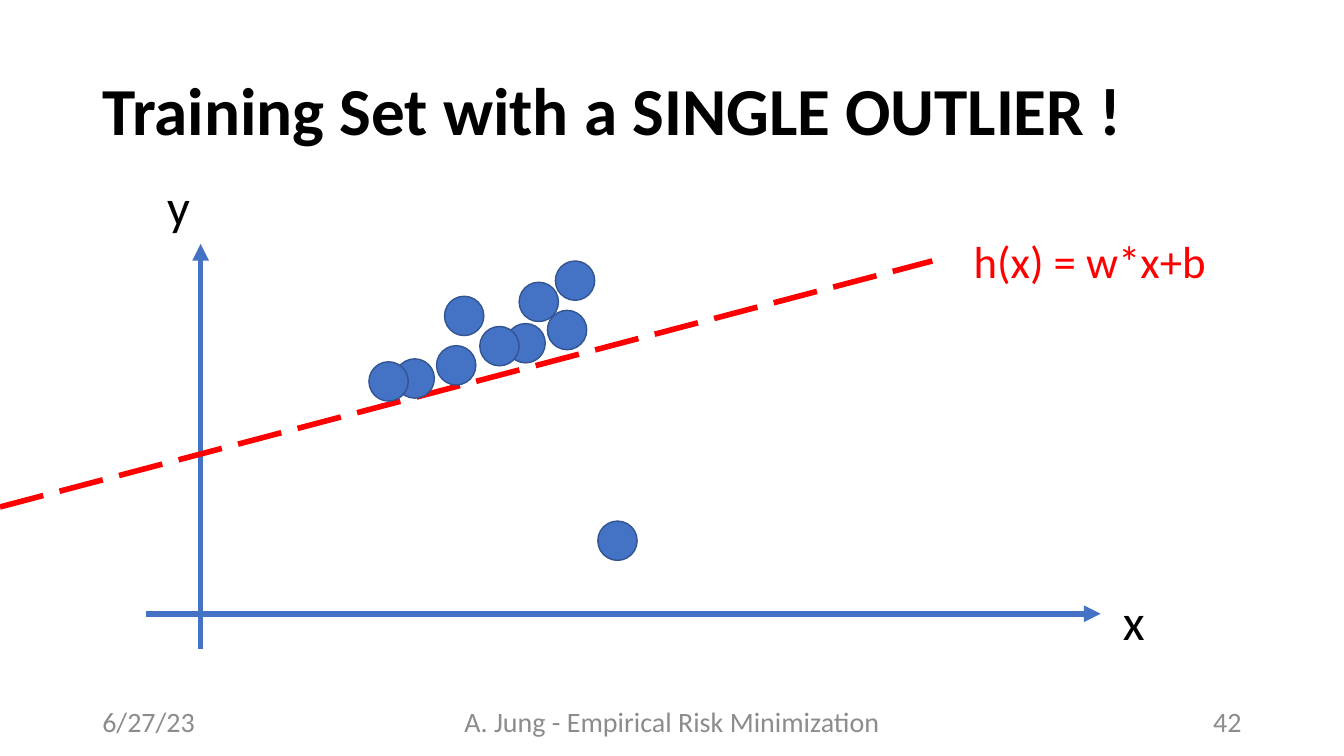
from pptx import Presentation
from pptx.dml.color import RGBColor
from pptx.enum.dml import MSO_LINE
from pptx.enum.shapes import MSO_CONNECTOR, MSO_SHAPE
from pptx.enum.text import MSO_ANCHOR, MSO_AUTO_SIZE, PP_ALIGN
from pptx.oxml.ns import qn
from pptx.util import Pt
from lxml import etree

STRAIGHT, ELLIPSE, LONG_DASH = MSO_CONNECTOR.STRAIGHT, MSO_SHAPE.OVAL, MSO_LINE.LONG_DASH
TOP, MIDDLE = MSO_ANCHOR.TOP, MSO_ANCHOR.MIDDLE
LEFT, CENTER, RIGHT = PP_ALIGN.LEFT, PP_ALIGN.CENTER, PP_ALIGN.RIGHT
FIT_SHAPE = MSO_AUTO_SIZE.SHAPE_TO_FIT_TEXT
BLUE, EDGE, RED, BLACK, GRAY = "4472C4", "325491", "FF0000", "000000", "8C8C8C"
DIAMETER = 28.1
CLUSTER = [(257, 56.9), (238.3, 59), (266.4, 27.4), (286.6, 47.5), (292.3, 12.2),
           (177.8, 82.1), (159.1, 84.2), (207.4, 72.7), (213.1, 37.4)]
OUTLIER = (322.6, 198)


def rgb(hex_color):
    """Turn a hex string into a colour."""
    return RGBColor.from_string(hex_color)


def add_text(s, box, text, size, color=BLACK, bold=False, align=LEFT, anchor=TOP, wrap=True):
    """Add a one-line text box."""
    tb = s.shapes.add_textbox(*map(Pt, box))
    tf = tb.text_frame
    tf.word_wrap, tf.vertical_anchor = wrap, anchor
    if not wrap:
        tf.auto_size = FIT_SHAPE
    p = tf.paragraphs[0]
    p.alignment = align
    r = p.add_run()
    r.text = text
    for name, value in {"name": "Calibri", "size": Pt(size), "bold": bold}.items():
        setattr(r.font, name, value)
    r.font.color.rgb = rgb(color)
    return p


def add_line(s, start, end, color, dash=None, arrow=False):
    """Add a straight line, dashed or with an arrowhead if asked."""
    c = s.shapes.add_connector(STRAIGHT, *map(Pt, (*start, *end)))
    c.line.color.rgb = rgb(color)
    c.line.width = Pt(4)
    if dash:
        c.line.dash_style = dash
    if arrow:
        etree.SubElement(c.line._get_or_add_ln(), qn("a:tailEnd"), type="triangle")
    etree.SubElement(c._element.spPr, qn("a:effectLst"))


def add_point(s, x, y):
    """Add one data point by its top left corner."""
    sp = s.shapes.add_shape(ELLIPSE, *map(Pt, (x, y, DIAMETER, DIAMETER)))
    sp.shadow.inherit = False
    sp.fill.solid()
    sp.fill.fore_color.rgb = rgb(BLUE)
    sp.line.color.rgb = rgb(EDGE)
    sp.line.width = Pt(1)


def add_title(s, box):
    """Add the slide title."""
    p = add_text(s, box, "Training Set with a SINGLE OUTLIER !", 48, bold=True, anchor=MIDDLE)
    p.line_spacing = 0.9


def add_plot(s, box):
    """Draw the axes, the data points and the fitted line."""
    left, top, width, height = box
    origin_x, origin_y = left + 38.9, top + 264.2
    add_line(s, (left, origin_y), (left + width, origin_y), BLUE, arrow=True)
    add_line(s, (origin_x, top + height), (origin_x, top), BLUE, arrow=True)
    add_line(s, (left - 104.4, top + 187.9), (left + 561.6, top + 12.2), RED, dash=LONG_DASH)
    for x, y in [*CLUSTER, OUTLIER]:
        add_point(s, left + x, top + y)
    for text, x, y, w, h, size, color in [
        ("x", 690.5, 243.4, 30.2, 51.1, 36, BLACK),
        ("y", 7.9, -52.6, 31, 51.1, 36, BLACK),
        ("h(x) = w*x+b", 583.9, -10.8, 182.9, 46.1, 32, RED),
    ]:
        add_text(s, (left + x, top + y, w, h), text, size, color, wrap=False)


def add_footer(s, box):
    """Add date, footer text and slide number across the box."""
    left, top, width, height = box
    for text, w, share, align in [
        ("6/27/23", 216, 0, LEFT),
        ("A. Jung - Empirical Risk Minimization", 324, 0.5, CENTER),
        ("42", 216, 1, RIGHT),
    ]:
        part = (left + (width - w) * share, top, w, height)
        add_text(s, part, text, 20, GRAY, align=align, anchor=MIDDLE)


def main():
    """Build and save the slide."""
    prs = Presentation()
    prs.slide_width, prs.slide_height = Pt(960), Pt(540)
    s = prs.slides.add_slide(prs.slide_layouts[6])
    add_title(s, (66, 28.8, 828, 104.4))
    add_plot(s, (104.4, 174.2, 681.8, 289.4))
    add_footer(s, (66, 500.5, 828, 28.8))
    prs.save("out.pptx")


if __name__ == "__main__":
    main()
